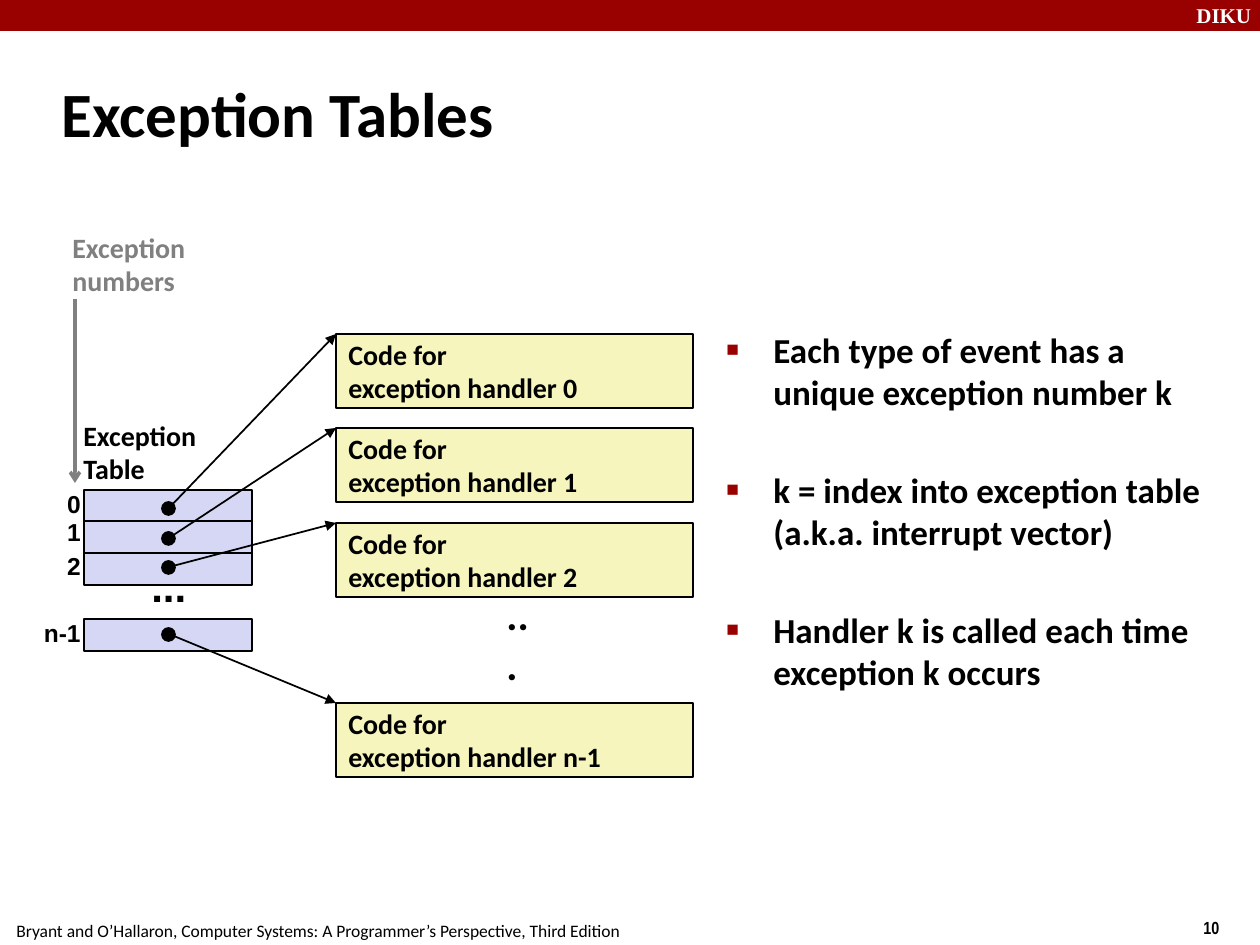
from lxml.etree import SubElement
from pptx import Presentation
from pptx.dml.color import RGBColor
from pptx.enum.shapes import MSO_CONNECTOR, MSO_SHAPE
from pptx.enum.text import MSO_ANCHOR, PP_ALIGN
from pptx.oxml.ns import qn
from pptx.util import Emu, Pt

SCALE = 914400 / 126
BLACK, GREY, WHITE, RED = "000000", "808080", "FFFFFF", "990000"
LILAC, CREAM = "D6D6F5", "F6F5BD"
TOP, MID = MSO_ANCHOR.TOP, MSO_ANCHOR.MIDDLE

# Entry label, label left, label top, row top, dot top, handler top
ENTRIES = [
    ("0", 52, 483, 490, 502, 334),
    ("1", 52, 511, 521, 532, 428),
    ("2", 52, 545, 553, 561, 523),
    ("n-1", 26, 612, 619, 628, 703),
]
POINTS = [
    "Each type of event has a\vunique exception number k",
    "k = index into exception table\v(a.k.a. interrupt vector)",
    "Handler k is called each time\vexception k occurs",
]


def px(*nums):
    return [Emu(round(n * SCALE)) for n in nums]


def rgb(code):
    return RGBColor.from_string(code)


def style(part, color, **form):
    """Set the font of a paragraph."""
    for key, val in form.items():
        setattr(part.font, key, val)
    part.font.color.rgb = rgb(color)


def write(shape, lines, size, name="Calibri", color=BLACK, bold=True,
          anchor=TOP, align=PP_ALIGN.LEFT):
    frame = shape.text_frame
    frame.word_wrap = True
    frame.vertical_anchor = anchor
    frame.text = "\n".join(lines)
    for part in frame.paragraphs:
        part.alignment = align
        style(part, color, size=Pt(size), name=name, bold=bold)


def add_text(slide, box, lines, size, **form):
    shape = slide.shapes.add_textbox(*px(*box))
    write(shape, lines, size, **form)


def add_box(slide, box, fill, width=0, kind=MSO_SHAPE.RECTANGLE):
    shape = slide.shapes.add_shape(kind, *px(*box))
    shape.shadow.inherit = False
    shape.fill.solid()
    shape.fill.fore_color.rgb = rgb(fill)
    if width:
        shape.line.color.rgb = rgb(BLACK)
        shape.line.width = Pt(width)
    else:
        shape.line.fill.background()
    return shape


def add_arrow(slide, ends, color, width, head):
    line = slide.shapes.add_connector(MSO_CONNECTOR.STRAIGHT, *px(*ends))
    line.line.color.rgb = rgb(color)
    line.line.width = Pt(width)
    SubElement(line.line._get_or_add_ln(), qn("a:tailEnd"), type=head)
    SubElement(line._element.spPr, qn("a:effectLst"))


def add_list(slide, box, points):
    shape = slide.shapes.add_textbox(*px(*box))
    frame = shape.text_frame
    frame.word_wrap = True
    frame.text = "\n".join(points)
    for num, part in enumerate(frame.paragraphs):
        props = part._p.get_or_add_pPr()
        indent = px(47)[0]
        props.set("marL", str(indent))
        props.set("indent", str(-indent))
        tint = SubElement(props, qn("a:buClr"))
        SubElement(tint, qn("a:srgbClr"), val=RED)
        SubElement(props, qn("a:buSzPct"), val="60000")
        SubElement(props, qn("a:buFont"), typeface="Arial")
        SubElement(props, qn("a:buChar"), char="■")
        if num:
            part.space_before = Pt(32)
        style(part, BLACK, size=Pt(20), name="Calibri", bold=True)


def add_entry(slide, label, left, top, row, dot, code):
    """Draw a table row, its handler and the arrow between them."""
    add_box(slide, (84, row, 168, 32), LILAC, 1)
    add_text(slide, (left, top, 93 - left, 42), [label], 14, name="Arial",
             anchor=MID, align=PP_ALIGN.RIGHT)
    add_box(slide, (162, dot, 13, 13), BLACK, 1, MSO_SHAPE.OVAL)
    block = add_box(slide, (336, code, 357, 74), CREAM, 0.75)
    write(block, ["Code for", f"exception handler {label}"], 16, anchor=MID)
    add_arrow(slide, (169, dot + 6, 336, code), BLACK, 1, "triangle")


def add_frame(slide):
    """Draw the top bar, the footer and the title."""
    add_box(slide, (0, 0, 1260, 31), RED)
    add_text(slide, (1184, -4, 84, 38), ["DIKU"], 12,
             name="Times New Roman", color=WHITE)
    add_text(slide, (1191, 911, 94, 34), ["10"], 10, name="Arial Narrow")
    add_text(slide, (4, 914, 650, 34),
             ["Bryant and O’Hallaron, Computer Systems: "
              "A Programmer’s Perspective, Third Edition"], 10, bold=False)
    add_text(slide, (49, 60, 1046, 105), ["Exception Tables"], 36, anchor=MID)


def main():
    deck = Presentation()
    deck.slide_width, deck.slide_height = px(1260, 945)
    slide = deck.slides.add_slide(deck.slide_layouts[6])
    add_frame(slide)
    for entry in ENTRIES:
        add_entry(slide, *entry)
    add_text(slide, (139, 554, 62, 63), ["..."], 24, name="Arial", anchor=MID)
    add_text(slide, (494, 607, 58, 63), ["..."], 24, anchor=MID)
    add_text(slide, (71, 412, 146, 79), ["Exception", "Table"], 16)
    add_text(slide, (60, 224, 146, 79), ["Exception", "numbers"], 16,
             color=GREY)
    add_arrow(slide, (75, 299, 75, 483), GREY, 2, "arrow")
    add_list(slide, (714, 322, 525, 444), POINTS)
    deck.save("out.pptx")


if __name__ == "__main__":
    main()
